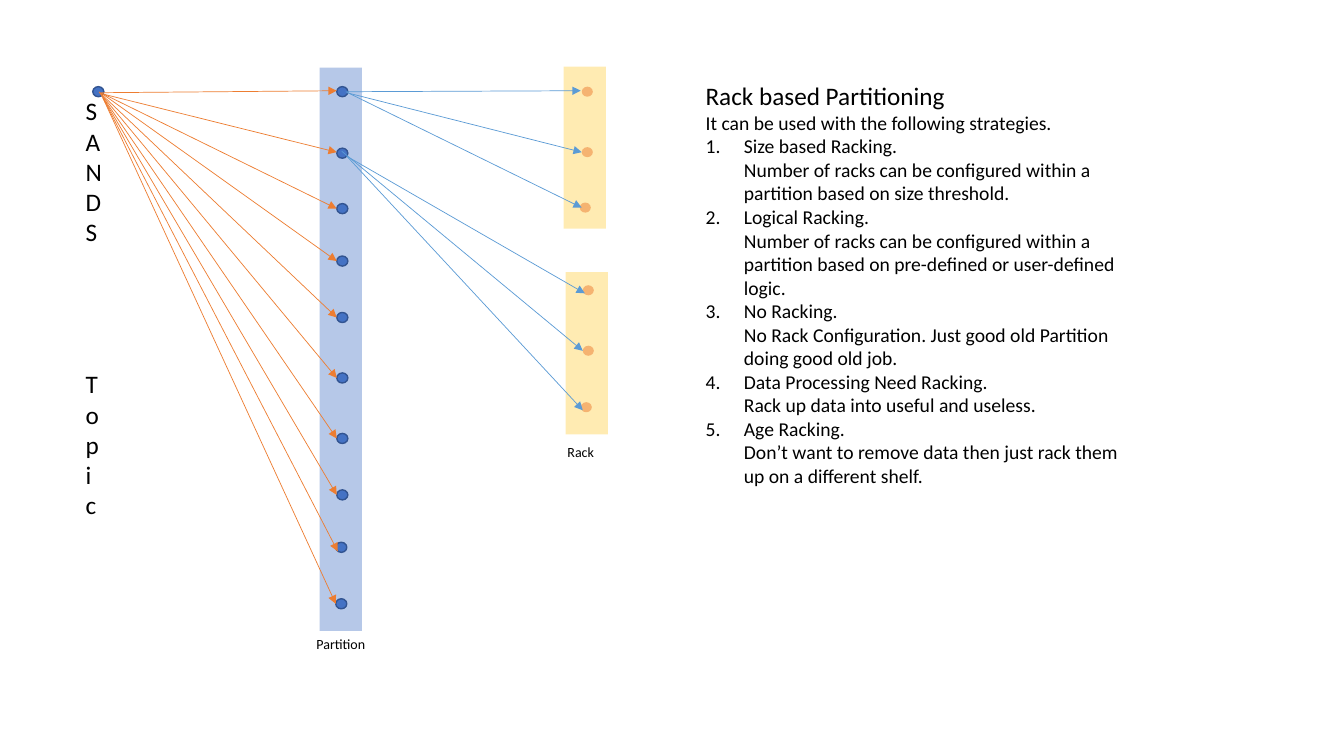
from dataclasses import dataclass

from pptx import Presentation
from pptx.dml.color import RGBColor
from pptx.enum.shapes import MSO_CONNECTOR as CONN, MSO_SHAPE as SHAPE
from pptx.enum.text import MSO_AUTO_SIZE as AUTO_SIZE
from pptx.oxml.ns import qn
from pptx.util import Emu, Pt
from lxml.etree import SubElement

PX = 9144  # 100 px to the inch
FONT = "Calibri"
COLORS = {
    "blue": "4472C4",
    "blue_edge": "325491",
    "orange": "ED7D31",
    "yellow": "FFD966",
    "sky": "5B9BD5",
    "text": "000000",
}
DOT_W, DOT_H = 11, 10
BAR_W, RACK_H = 42, 161


@dataclass(frozen=True)
class Arrow:
    x1: int
    y1: int
    x2: int
    y2: int


@dataclass(frozen=True)
class Rack:
    left: int
    top: int
    dots: tuple[tuple[int, int], ...]
    arrows: tuple[Arrow, ...]


TOPIC_DOT = (92, 86)
PARTITION_DOTS = (
    (334, 86), (334, 147), (334, 202), (334, 254), (334, 310),
    (334, 370), (334, 430), (334, 486), (333, 538), (333, 594),
)
TOPIC_ARROWS = (
    Arrow(101, 92, 334, 90), Arrow(101, 93, 334, 151),
    Arrow(100, 92, 334, 207), Arrow(100, 92, 334, 259),
    Arrow(98, 91, 334, 315), Arrow(99, 92, 334, 375),
    Arrow(99, 92, 334, 435), Arrow(101, 95, 334, 491),
    Arrow(102, 97, 335, 547), Arrow(102, 97, 333, 599),
)
RACKS = (
    Rack(559, 66, ((577, 86), (577, 146), (575, 201)),
         (Arrow(344, 91, 576, 90), Arrow(344, 92, 577, 151), Arrow(343, 91, 577, 206))),
    Rack(561, 270, ((578, 283), (578, 343), (576, 399)),
         (Arrow(344, 155, 580, 291), Arrow(339, 150, 578, 348), Arrow(344, 155, 578, 407))),
)
STRATEGIES = (
    ("Size based Racking.",
     "Number of racks can be configured within a partition based on size threshold."),
    ("Logical Racking.",
     "Number of racks can be configured within a partition based on pre-defined "
     "or user-defined logic."),
    ("No Racking.",
     "No Rack Configuration. Just good old Partition doing good old job."),
    ("Data Processing Need Racking.", "Rack up data into useful and useless."),
    ("Age Racking.",
     "Don’t want to remove data then just rack them up on a different shelf."),
)


def px(n: int) -> Emu:
    return Emu(n * PX)


def rgb(name: str) -> RGBColor:
    return RGBColor.from_string(COLORS[name])


def add_shape(s, kind, x: int, y: int, w: int, h: int, fill: str,
              opacity: int = 100, edge: str | None = None) -> None:
    sp = s.shapes.add_shape(kind, px(x), px(y), px(w), px(h))
    sp.shadow.inherit = False
    sp.fill.solid()
    sp.fill.fore_color.rgb = rgb(fill)
    if opacity < 100:
        clr = sp.fill._xPr.find(f"{qn('a:solidFill')}/{qn('a:srgbClr')}")
        SubElement(clr, qn("a:alpha"), val=str(opacity * 1000))
    if edge:
        sp.line.color.rgb = rgb(edge)
        sp.line.width = Pt(1)
    else:
        sp.line.fill.background()


def add_arrow(s, a: Arrow, color: str) -> None:
    cxn = s.shapes.add_connector(CONN.STRAIGHT, px(a.x1), px(a.y1), px(a.x2), px(a.y2))
    cxn.line.color.rgb = rgb(color)
    cxn.line.width = Pt(0.5)
    SubElement(cxn.line._get_or_add_ln(), qn("a:tailEnd"), type="triangle")
    SubElement(cxn._element.spPr, qn("a:effectLst"))


def add_text_box(s, x: int, y: int, w: int, h: int):
    tf = s.shapes.add_textbox(px(x), px(y), px(w), px(h)).text_frame
    tf.word_wrap = True
    tf.auto_size = AUTO_SIZE.SHAPE_TO_FIT_TEXT
    return tf


def add_run(p, text: str, size: int) -> None:
    r = p.add_run()
    r.text = text
    r.font.name = FONT
    r.font.size = Pt(size)
    r.font.color.rgb = rgb("text")


def number(p) -> None:
    pPr = p._p.get_or_add_pPr()
    pPr.set("marL", str(px(38)))
    pPr.set("indent", str(-px(38)))
    SubElement(pPr, qn("a:buFont"), typeface="+mj-lt")
    SubElement(pPr, qn("a:buAutoNum"), type="arabicPeriod")


def main() -> None:
    prs = Presentation()
    prs.slide_width, prs.slide_height = px(1333), px(750)
    s = prs.slides.add_slide(prs.slide_layouts[6])

    # Topic fanning out to the partitions
    add_shape(s, SHAPE.RECTANGLE, 317, 67, BAR_W, 559, "blue", opacity=39)
    for x, y in (TOPIC_DOT, *PARTITION_DOTS):
        add_shape(s, SHAPE.OVAL, x, y, DOT_W, DOT_H, "blue", edge="blue_edge")
    for arrow in TOPIC_ARROWS:
        add_arrow(s, arrow, "orange")

    # Racks fed by the first two partitions
    for rack in RACKS:
        add_shape(s, SHAPE.RECTANGLE, rack.left, rack.top, BAR_W, RACK_H, "yellow", opacity=50)
        for x, y in rack.dots:
            add_shape(s, SHAPE.OVAL, x, y, DOT_W, DOT_H, "orange", opacity=50)
        for arrow in rack.arrows:
            add_arrow(s, arrow, "sky")

    # Captions
    for caption, x, y in (("Partition", 304, 626), ("Rack", 553, 435)):
        add_run(add_text_box(s, x, y, 248, 27).paragraphs[0], caption, 10)

    # Topic name, one letter a line in a very narrow box
    tf = add_text_box(s, 85, 90, 5, 343)
    add_run(tf.paragraphs[0], "SANDS", 18)
    p = tf.add_paragraph()
    p.space_before = Pt(87)
    add_run(p, "Topic", 18)

    # Heading and numbered strategies
    tf = add_text_box(s, 690, 75, 437, 417)
    p = tf.paragraphs[0]
    add_run(p, "Rack based Partitioning", 18)
    p.add_line_break()
    add_run(p, "It can be used with the following strategies.", 14)
    for name, detail in STRATEGIES:
        p = tf.add_paragraph()
        number(p)
        add_run(p, name, 14)
        p.add_line_break()
        add_run(p, detail, 14)

    prs.save("out.pptx")


if __name__ == "__main__":
    main()
